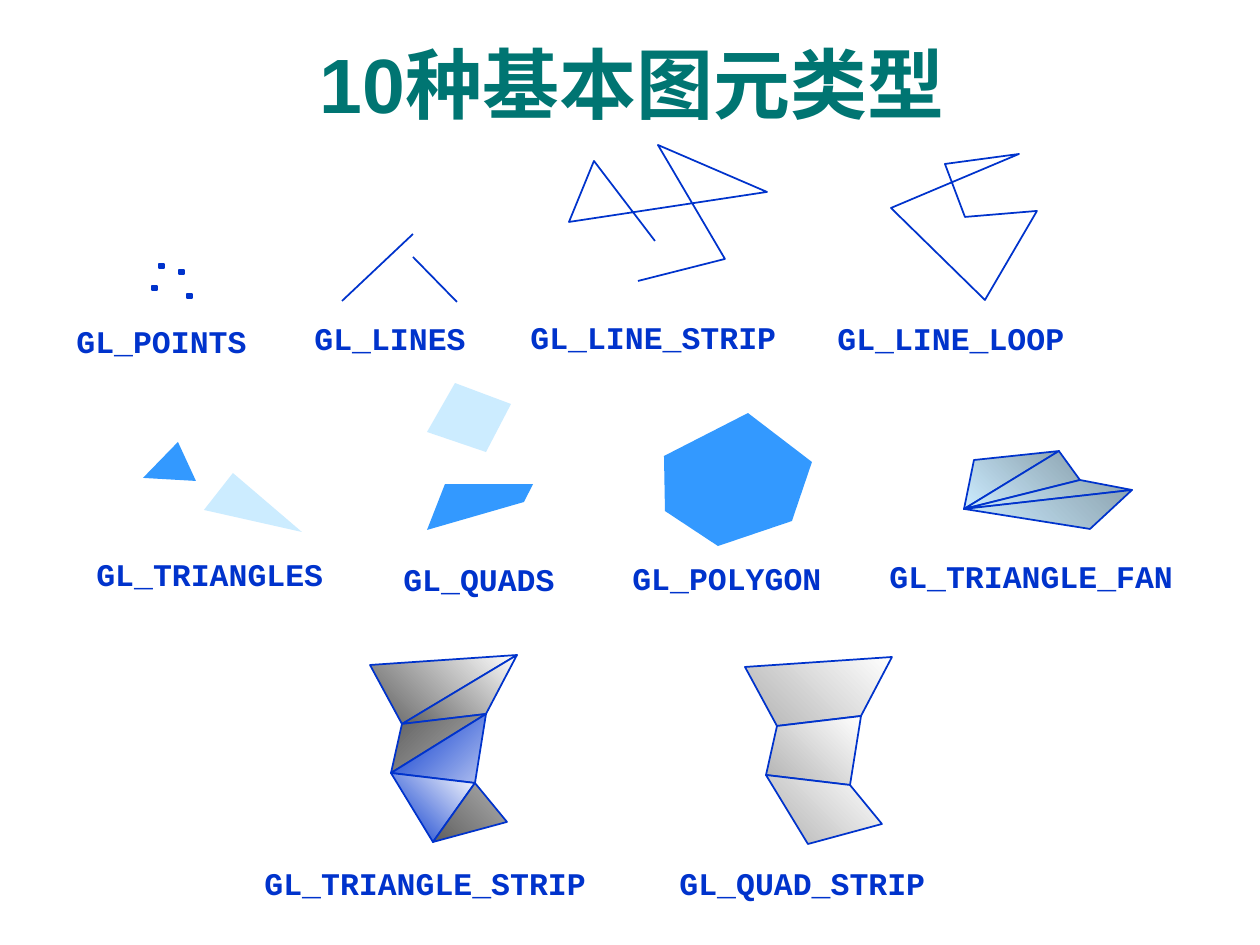
from dataclasses import dataclass
from lxml.etree import SubElement
from pptx import Presentation
from pptx.dml.color import RGBColor
from pptx.enum.shapes import MSO_CONNECTOR, MSO_SHAPE
from pptx.enum.text import MSO_ANCHOR, MSO_AUTO_SIZE, PP_ALIGN
from pptx.oxml.ns import qn
from pptx.util import Emu, Pt

EMU_PER_PX = 914400 / 126
BLUE, SKY, PALE, TEAL = "0033CC", "3399FF", "CCECFF", "007572"
UP_RIGHT, DOWN_RIGHT = 45, 315  # gradient directions, counter-clockwise degrees

Point = tuple[int, int]


@dataclass(frozen=True)
class Gradient:
    start: str
    end: str
    angle: int = UP_RIGHT


@dataclass(frozen=True)
class Outline:
    points: list[Point]
    fill: str | Gradient | None = None
    edged: bool = True
    closed: bool = True


@dataclass(frozen=True)
class Label:
    text: str
    left: int
    top: int


def px(length: float) -> Emu:
    return Emu(round(length * EMU_PER_PX))


def color(value: str) -> RGBColor:
    return RGBColor.from_string(value)


def style_font(font, **values) -> None:
    for name, value in values.items():
        setattr(font, name, value)


def style_line(line) -> None:
    line.color.rgb = color(BLUE)
    line.width = Pt(1)


def draw_fill(fill, value: str | Gradient | None) -> None:
    if value is None:
        fill.background()
    elif isinstance(value, Gradient):
        fill.gradient()
        fill.gradient_angle = value.angle
        for stop, tone in zip(fill.gradient_stops, (value.start, value.end)):
            stop.color.rgb = color(tone)
    else:
        fill.solid()
        fill.fore_color.rgb = color(value)


def draw_outline(shapes, outline: Outline) -> None:
    first, *rest = outline.points
    builder = shapes.build_freeform(*first, scale=EMU_PER_PX)
    builder.add_line_segments(rest, close=outline.closed)
    figure = builder.convert_to_shape()
    figure.shadow.inherit = False
    draw_fill(figure.fill, outline.fill)
    if outline.edged:
        style_line(figure.line)
    else:
        figure.line.fill.background()


def draw_dot(shapes, left: int, top: int) -> None:
    dot = shapes.add_shape(MSO_SHAPE.RECTANGLE, px(left), px(top), px(5), px(4))
    dot.shadow.inherit = False
    draw_fill(dot.fill, BLUE)
    style_line(dot.line)


def draw_segment(shapes, start: Point, end: Point) -> None:
    ends = [px(value) for value in (*start, *end)]
    segment = shapes.add_connector(MSO_CONNECTOR.STRAIGHT, *ends)
    style_line(segment.line)
    SubElement(segment._element.spPr, qn("a:effectLst"))


def draw_label(shapes, label: Label) -> None:
    # One 18 pt monospaced character is 18.9 px wide; insets add 25.2 px
    width = len(label.text) * 18.9 + 25.2
    box = shapes.add_textbox(px(label.left), px(label.top), px(width), px(50))
    frame = box.text_frame
    frame.word_wrap = False
    frame.auto_size = MSO_AUTO_SIZE.SHAPE_TO_FIT_TEXT
    run = frame.paragraphs[0].add_run()
    run.text = label.text
    style_font(run.font, name="Courier New", size=Pt(18), bold=True)
    run.font.color.rgb = color(BLUE)


def draw_title(title, text: str) -> None:
    title.left, title.top, title.width, title.height = map(px, (44, 30, 1177, 105))
    title.text_frame.vertical_anchor = MSO_ANCHOR.MIDDLE
    paragraph = title.text_frame.paragraphs[0]
    paragraph.alignment = PP_ALIGN.CENTER
    run = paragraph.add_run()
    run.text = text
    style_font(run.font, name="Arial", size=Pt(44), bold=True)
    run.font.color.rgb = color(TEAL)


LABELS = [
    Label("GL_POINTS", 64, 316),
    Label("GL_LINES", 302, 313),
    Label("GL_LINE_STRIP", 518, 312),
    Label("GL_LINE_LOOP", 825, 313),
    Label("GL_TRIANGLES", 84, 549),
    Label("GL_QUADS", 391, 554),
    Label("GL_POLYGON", 620, 553),
    Label("GL_TRIANGLE_FAN", 877, 551),
    Label("GL_TRIANGLE_STRIP", 252, 858),
    Label("GL_QUAD_STRIP", 667, 858),
]

DOTS = [(159, 264), (179, 270), (152, 286), (187, 294)]
SEGMENTS = [((342, 301), (413, 234)), ((413, 257), (457, 302))]

LINE_STRIP = Outline([(655, 241), (594, 161), (569, 222), (767, 192), (658, 145),
                      (725, 259), (638, 281)], closed=False)
LINE_LOOP = Outline([(965, 217), (945, 164), (1019, 154), (891, 208), (985, 300),
                     (1037, 211)])

FLAT_FIGURES = [
    Outline([(178, 442), (143, 478), (196, 481)], SKY, edged=False),
    Outline([(233, 473), (204, 510), (302, 532)], PALE, edged=False),
    Outline([(427, 432), (455, 383), (511, 404), (486, 452)], PALE, edged=False),
    Outline([(427, 530), (445, 484), (533, 484), (524, 502)], SKY, edged=False),
    Outline([(664, 456), (748, 413), (812, 462), (792, 521), (718, 546), (665, 511)],
            SKY, edged=False),
]

# Fan: every triangle shares the hub
HUB = (964, 509)
RIM = [(974, 460), (1059, 451), (1080, 480), (1132, 490), (1090, 529)]
FAN = [Outline([HUB, a, b], Gradient(PALE, "8EA5B2")) for a, b in zip(RIM, RIM[1:])]

# Strips: triangles take three vertices in turn, quads take four
STRIP = [(370, 665), (517, 655), (402, 724), (486, 714),
         (391, 773), (475, 783), (433, 842), (507, 822)]
STRIP_FILLS = [
    Gradient("5F5F5F", "FFFFFF"),
    Gradient("5F5F5F", "FFFFFF"),
    Gradient("5F5F5F", "AFAFAF", DOWN_RIGHT),
    Gradient(BLUE, "B2C1F0", DOWN_RIGHT),
    Gradient(BLUE, "FFFFFF"),
    Gradient("5F5F5F", "AFAFAF"),
]
TRIANGLE_STRIP = [Outline(STRIP[i:i + 3], fill) for i, fill in enumerate(STRIP_FILLS)]
QUAD_VERTICES = [(x + 375, y + 2) for x, y in STRIP]
QUAD_STRIP = [
    Outline([QUAD_VERTICES[i + k] for k in (0, 1, 3, 2)], Gradient("B2B2B2", "FFFFFF"))
    for i in (0, 2, 4)
]


def main() -> None:
    deck = Presentation()
    deck.slide_width, deck.slide_height = px(1260), px(945)
    slide = deck.slides.add_slide(deck.slide_layouts[5])
    shapes = slide.shapes

    draw_title(shapes.title, "10种基本图元类型")

    # Points and lines
    for dot in DOTS:
        draw_dot(shapes, *dot)
    for segment in SEGMENTS:
        draw_segment(shapes, *segment)

    # Outlined, flat and shaded figures
    for outline in [LINE_STRIP, LINE_LOOP, *FLAT_FIGURES, *FAN,
                    *TRIANGLE_STRIP, *QUAD_STRIP]:
        draw_outline(shapes, outline)

    for label in LABELS:
        draw_label(shapes, label)
    deck.save("out.pptx")


if __name__ == "__main__":
    main()
